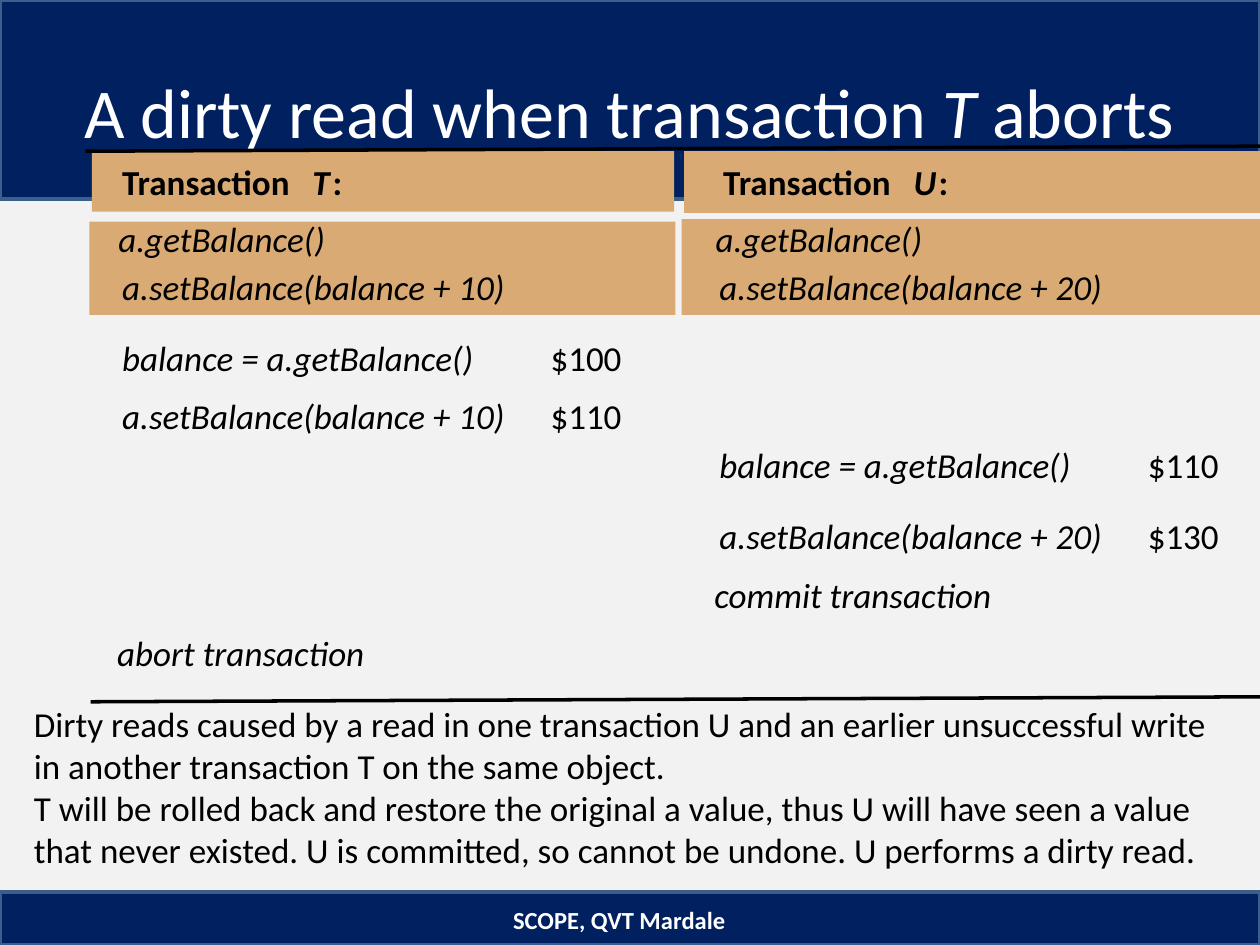
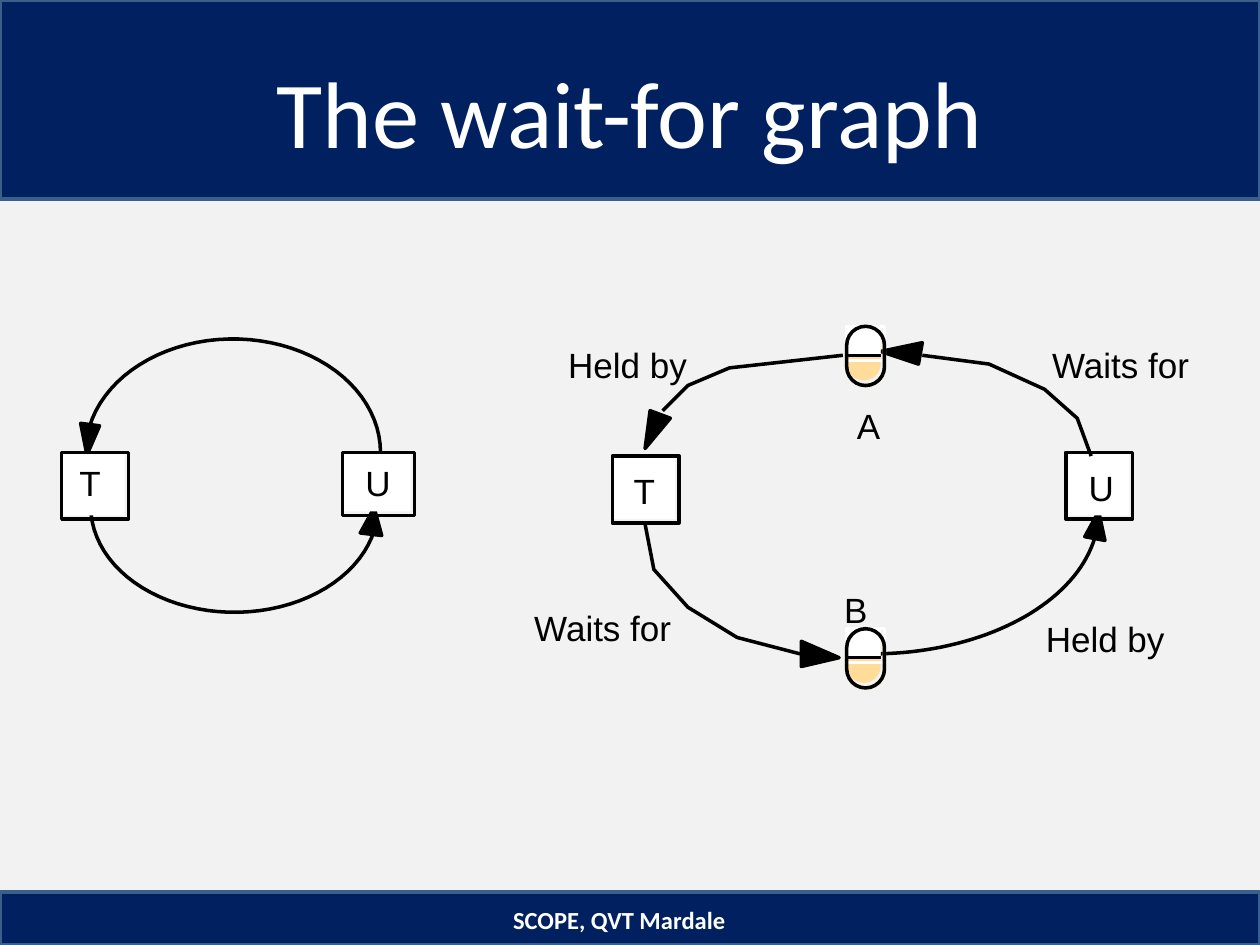
from dataclasses import dataclass
from math import cos, radians, sin

from pptx import Presentation
from pptx import util as u
from pptx.dml import color
from pptx.enum import shapes, text
from pptx.oxml import ns

Inches = u.Inches
KIND = shapes.MSO_SHAPE
ALIGN = text.PP_ALIGN
MID = text.MSO_ANCHOR.MIDDLE
GROW = text.MSO_AUTO_SIZE.SHAPE_TO_FIT_TEXT


@dataclass(frozen=True)
class Theme:
    page: str = "F2F2F2"
    navy: str = "002060"
    edge: str = "3A5F8B"
    tan: str = "D9AA73"
    cream: str = "FFDC99"
    white: str = "FFFFFF"
    black: str = "000000"
    sans: str = "Calibri"
    plain: str = "Arial"
    body: int = 20
    foot: int = 14
    line: int = 2


T = Theme()
FOOTER = "SCOPE, QVT Mardale"


def rgb(code):
    return color.RGBColor.from_string(code)


def paint(shape, fill=None, line=None):
    """Set fill and outline; None leaves that part empty."""
    shape.shadow.inherit = False
    if fill:
        shape.fill.solid()
        shape.fill.fore_color.rgb = rgb(fill)
    else:
        shape.fill.background()
    if line:
        shape.line.color.rgb = rgb(line)
        shape.line.width = u.Pt(T.line)
    else:
        shape.line.fill.background()


def block(slide, box, fill=None, line=None, kind=KIND.RECTANGLE):
    shape = slide.shapes.add_shape(kind, *map(Inches, box))
    paint(shape, fill, line)
    return shape


def rule(slide, start, end):
    ends = map(Inches, (*start, *end))
    line = slide.shapes.add_connector(shapes.MSO_CONNECTOR.STRAIGHT, *ends)
    line.line.color.rgb = rgb(T.black)
    line.line.width = u.Pt(T.line)
    props = line.element.spPr
    props.append(props.makeelement(ns.qn("a:effectLst"), {}))


def style(run, size=T.body, font=T.sans, ink=T.black, bold=False, ital=False):
    run.font.size = u.Pt(size)
    run.font.name = font
    run.font.color.rgb = rgb(ink)
    run.font.bold = bold
    run.font.italic = ital


def label(slide, x, y, w, words, **look):
    """One unwrapped line of text without margins."""
    box = slide.shapes.add_textbox(*map(Inches, (x, y, w, 0.33)))
    frame = box.text_frame
    frame.margin_left = frame.margin_right = 0
    frame.margin_top = frame.margin_bottom = 0
    frame.word_wrap = False
    frame.auto_size = GROW
    frame.text = words
    style(frame.paragraphs[0].runs[0], **look)


def banner(slide, box, parts, **look):
    """Centred text; parts pair each run with its italic flag."""
    frame = slide.shapes.add_textbox(*map(Inches, box)).text_frame
    frame.word_wrap = True
    frame.vertical_anchor = MID
    para = frame.paragraphs[0]
    para.alignment = ALIGN.CENTER
    for words, ital in parts:
        run = para.add_run()
        run.text = words
        style(run, ink=T.white, ital=ital, **look)


def page(deck, title, size):
    """Blank slide with the shared bands, title and footer."""
    slide = deck.slides.add_slide(deck.slide_layouts[6])
    slide.background.fill.solid()
    slide.background.fill.fore_color.rgb = rgb(T.page)
    block(slide, (0, 0, 10, 1.58), T.navy, T.edge)
    block(slide, (0, 7.08, 10, 0.42), T.navy, T.edge)
    banner(slide, (0.33, 0.25, 9.33, 1.25), title, size=size)
    banner(slide, (2.75, 7.1, 4.33, 0.4), [(FOOTER, False)],
           size=T.foot, bold=True)
    return slide


# Transaction columns
def column(slide, x, head, name, wide, amount, steps, last):
    """Heading, operations, timed steps and outcome of one transaction."""
    call = f"a.setBalance(balance + {amount})"
    label(slide, head, 1.27, 1.4, "Transaction", bold=True)
    label(slide, head + 1.51, 1.27, wide, name, bold=True, ital=True)
    label(slide, head + 1.53 + wide, 1.27, 0.08, ":", bold=True)
    label(slide, x - 0.03, 1.73, 1.66, "a.getBalance()", ital=True)
    label(slide, x, 2.11, 3.05, call, ital=True)
    works = (("balance = a.getBalance()", 2.8), (call, 3.05))
    for (words, w), (y, value) in zip(works, steps):
        label(slide, x, y, w, words, ital=True)
        label(slide, x + 3.4, y, 0.57, value)
    words, y, w = last
    label(slide, x - 0.04, y, w, words, ital=True)


def remarks(slide, box, lines):
    frame = slide.shapes.add_textbox(*map(Inches, box)).text_frame
    frame.word_wrap = True
    frame.text = "\n".join(lines)
    for para in frame.paragraphs:
        props = para._p.get_or_add_pPr()
        props.set("marL", str(Inches(0.5)))
        props.set("indent", "0")
        style(para.runs[0])


def dirty(deck):
    slide = page(deck, [("A dirty read when transaction ", False),
                        ("T", True), (" aborts", False)], 40)
    for box in ((0.73, 1.2, 4.62, 0.48), (5.43, 1.2, 4.68, 0.49),
                (0.71, 1.76, 4.65, 0.74), (5.41, 1.74, 4.7, 0.76)):
        block(slide, box, T.tan)
    column(slide, 0.97, 0.97, "T", 0.14, 10,
           ((2.67, "$100"), (3.13, "$110")),
           ("abort transaction", 5.01, 1.98))
    column(slide, 5.71, 5.74, "U", 0.18, 20,
           ((3.52, "$110"), (4.08, "$130")),
           ("commit transaction", 4.55, 2.2))
    rule(slide, (0.68, 1.2), (10.05, 1.16))
    rule(slide, (0.72, 5.57), (10.09, 5.53))
    remarks(slide, (-0.33, 5.53, 10.25, 1.43), (
        "Dirty reads caused by a read in one transaction U and an earlier "
        "unsuccessful write in another transaction T on the same object.",
        "T will be rolled back and restore the original a value, thus U will "
        "have seen a value that never existed. U is committed, so cannot be "
        "undone. U performs a dirty read."))


# Graph parts: points are offsets from the corner of the graph's box
def trace(slide, corner, points, head=False):
    """Open line, or a filled arrowhead."""
    left, top = corner
    spots = [(Inches(left + x), Inches(top + y)) for x, y in points]
    pen = slide.shapes.build_freeform(*spots[0], scale=1.0)
    pen.add_line_segments(spots[1:], close=head)
    paint(pen.convert_to_shape(), T.black if head else None, T.black)


def arc(mid, radii, start, end, count=40):
    """Points on an ellipse between two angles, clockwise from the right."""
    turns = [radians(start + (end - start) * i / count)
             for i in range(count + 1)]
    return [(mid[0] + radii[0] * cos(a), mid[1] + radii[1] * sin(a))
            for a in turns]


def node(slide, corner, at, size, name, inset):
    x, y = corner[0] + at[0], corner[1] + at[1]
    w, h = size
    block(slide, (x, y, w - 0.03, h - 0.03), T.white)
    block(slide, (x, y, w, h), line=T.black)
    label(slide, x + inset[0], y + inset[1], inset[2], name, font=T.plain)


def store(slide, corner, at):
    """Half-filled capsule that stands for a locked object."""
    x, y = corner[0] + at[0], corner[1] + at[1]
    pill = KIND.ROUNDED_RECTANGLE
    for w, h, fill, line, kind in (
            (0.27, 0.43, T.cream, None, pill),
            (0.3, 0.47, None, T.cream, pill),
            (0.27, 0.23, T.white, None, KIND.RECTANGLE),
            (0.3, 0.27, None, T.white, KIND.RECTANGLE),
            (0.3, 0.47, None, T.black, pill)):
        shape = block(slide, (x, y, w, h), fill, line, kind)
        if kind == pill:
            shape.adjustments[0] = 0.5
    rule(slide, (x, y + 0.23), (x + 0.27, y + 0.23))


def cycle(slide, corner):
    """Two transactions that wait for each other."""
    trace(slide, corner, [(0.15, 0.67), (0.3, 0.69), (0.2, 0.92)], True)
    trace(slide, corner, arc((1.36, 0.9), (1.17, 0.9), 193, 360))
    trace(slide, corner, [(2.54, 1.56), (2.37, 1.54), (2.48, 1.34)], True)
    trace(slide, corner, arc((1.37, 1.33), (1.14, 0.84), 13, 180))
    node(slide, corner, (0, 0.9), (0.53, 0.53), "T", (0.14, 0.07, 0.17))
    node(slide, corner, (2.23, 0.9), (0.57, 0.5), "U", (0.18, 0.07, 0.2))


def locks(slide, corner):
    """The same cycle with the objects that are held."""
    for x, y, w, words in (
            (2.46, 2.08, 0.19, "B"), (2.56, 0.62, 0.19, "A"),
            (0, 2.22, 1.1, "Waits for"), (0.27, 0.14, 0.96, "Held by"),
            (4.06, 2.31, 0.96, "Held by"), (4.11, 0.14, 1.1, "Waits for")):
        label(slide, corner[0] + x, corner[1] + y, w, words, font=T.plain)
    # B to U
    trace(slide, corner, [(4.53, 1.7), (4.37, 1.67), (4.48, 1.47)], True)
    trace(slide, corner, arc((2.68, 1.47), (1.8, 1.13), 9, 90))
    node(slide, corner, (4.22, 1), (0.53, 0.53), "U", (0.18, 0.11, 0.2))
    node(slide, corner, (0.62, 1.03), (0.53, 0.53), "T", (0.17, 0.11, 0.17))
    # U to A, T to B, A to T
    for tip, line in (
            ([(3.05, 0.3), (2.75, 0.2), (3.08, 0.13)],
             [(3.08, 0.23), (3.61, 0.3), (4.05, 0.5), (4.31, 0.73),
              (4.42, 1.03)]),
            ([(2.12, 2.5), (2.42, 2.63), (2.12, 2.7)],
             [(2.11, 2.6), (1.61, 2.47), (1.22, 2.23), (0.95, 1.93),
              (0.88, 1.57)]),
            ([(1.08, 0.73), (0.88, 0.97), (0.92, 0.67)],
             [(1.02, 0.67), (1.22, 0.47), (1.55, 0.33), (2.45, 0.23)])):
        trace(slide, corner, tip, True)
        trace(slide, corner, line)
    for y in (2.4, 0):
        store(slide, corner, (2.48, y))


def graph(deck):
    slide = page(deck, [("The wait-for graph", False)], 54)
    cycle(slide, (0.49, 2.69))
    locks(slide, (4.24, 2.59))


deck = Presentation()
deck.slide_width, deck.slide_height = Inches(10), Inches(7.5)
dirty(deck)
graph(deck)
deck.save("out.pptx")
